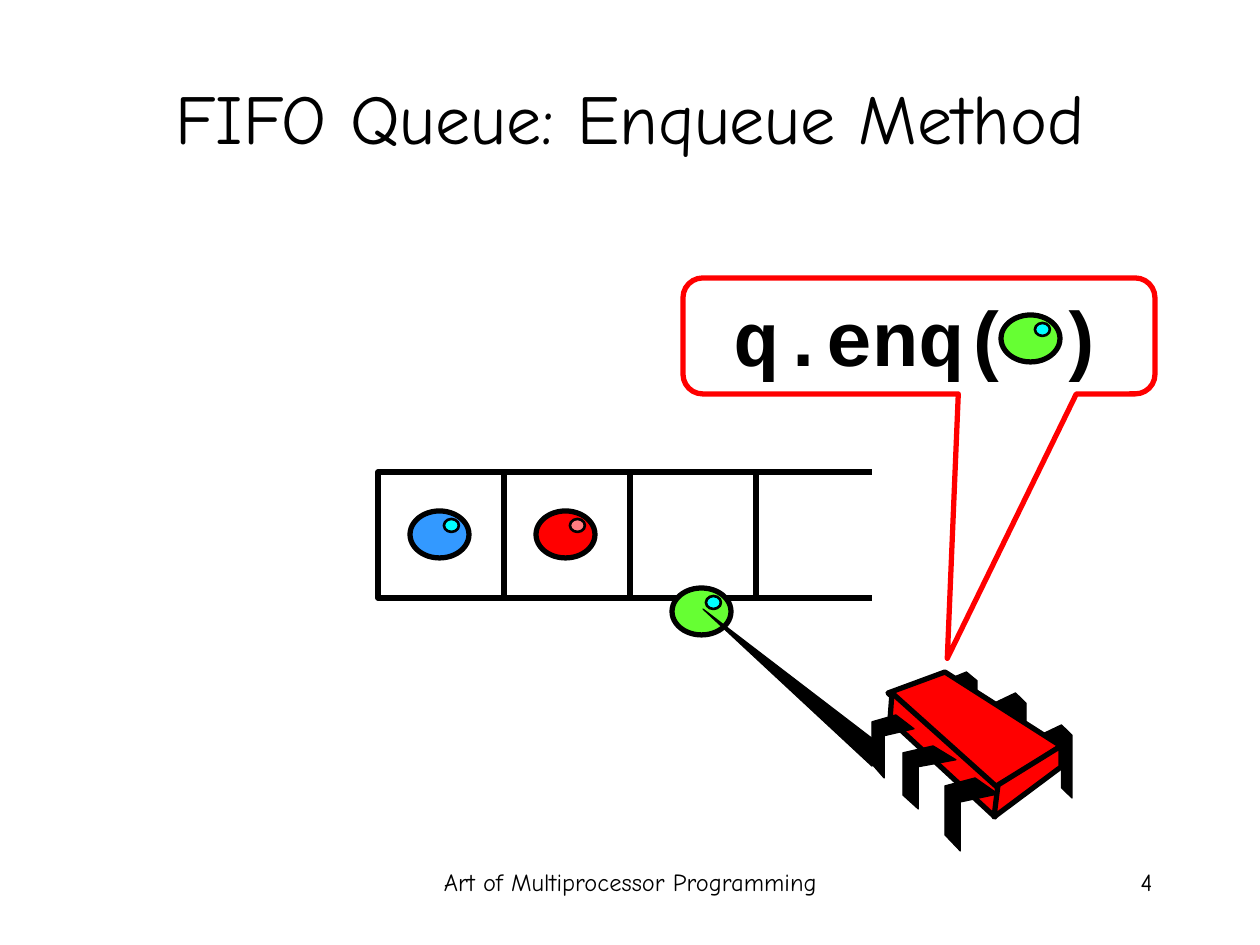
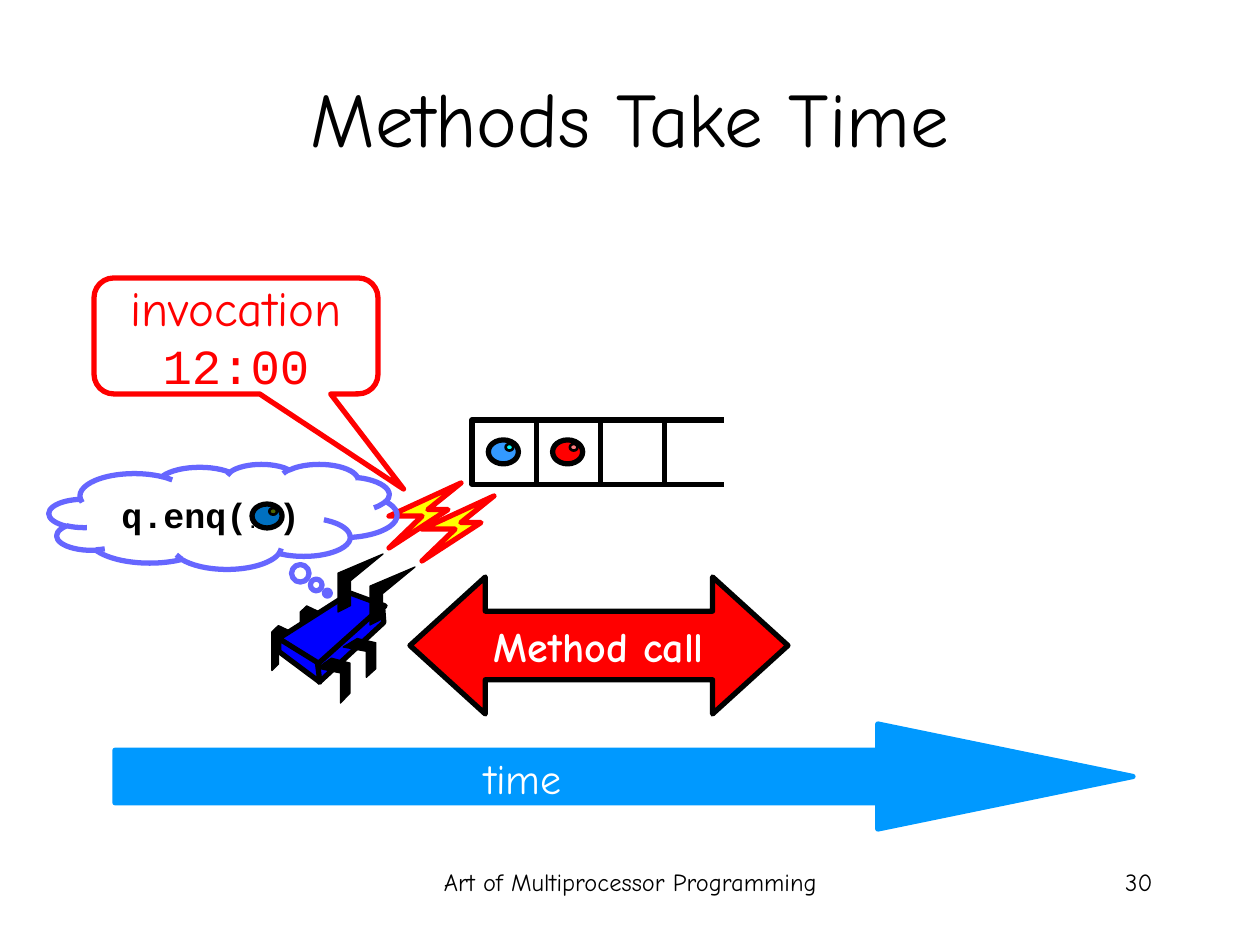
import pptx
import pptx.util
import pptx.dml.color
import pptx.enum.shapes
import pptx.enum.text
import pptx.oxml.ns
import lxml.etree

EMU_PER_PX = 914400 / 126
SHAPES = pptx.enum.shapes.MSO_SHAPE
ALIGN = pptx.enum.text.PP_ALIGN
ANCHOR = pptx.enum.text.MSO_ANCHOR
HAND, CODE = "Comic Neue", "Courier New"
COLOURS = {
    "black": "000000", "white": "FFFFFF", "red": "FF0000", "pink": "FF7C80",
    "blue": "3399FF", "cyan": "00FFFF", "green": "66FF33", "yellow": "FFFF00",
    "robot blue": "0000FF", "deep blue": "0070C0", "olive": "4C6600",
    "time": "0099FF", "thought": "6666FF",
}
FOOTER = "Art of Multiprocessor Programming"

# Bead kinds: body colour, glint colour
BLUE_BEAD = ("blue", "cyan")
RED_BEAD = ("red", "pink")
GREEN_BEAD = ("green", "cyan")
DEEP_BEAD = ("deep blue", "olive")

# Outlines as fractions of their bounding box
FAR_LEG = [(0, .14), (.67, 0), (1, .14), (1, 1), (.67, .86), (.67, .29), (0, .43)]
NEAR_LEG = [(.57, 0), (1, .22), (.29, .33), (.29, 1), (0, .78), (0, .11)]
RAISED_ARM = [(0, 1), (.28, .89), (.28, .46), (1, 0), (0, .33)]
BOLT = [(0, 1), (.46, .51), (0, .51), (1, 0), (.54, .41), (.82, .41)]

# Robot parts in px from the back corner of its top
FAR_LEGS = [(95, 53, 32, 73), (49, 21, 32, 73), (0, 0, 32, 63)]
NEAR_LEGS = [(0, 106, 53, 73), (-42, 74, 53, 63), (-73, 43, 42, 63)]
BODY_FACES = [
    [(0, 0), (116, 74), (50, 117), (-57, 21)],
    [(-53, 21), (53, 116), (50, 145), (-55, 48)],
    [(116, 74), (116, 95), (49, 145), (53, 113)],
]
REACHING_ARM = [(872, 766), (882, 746), (703, 609)]
RAISED_ARMS = [(338, 554, 45, 58), (370, 567, 45, 58)]
BOLTS = [(389, 483, 72, 65), (422, 496, 72, 65)]
SMALL_QUEUE, SMALL_ROBOT = 0.51, 0.615


def emu(px):
    return pptx.util.Emu(round(px * EMU_PER_PX))


def colour(name):
    return pptx.dml.color.RGBColor.from_string(COLOURS[name])


def paint(shape, fill, line, width):
    shape.shadow.inherit = False
    if fill:
        shape.fill.solid()
        shape.fill.fore_color.rgb = colour(fill)
    else:
        shape.fill.background()
    shape.line.color.rgb = colour(line)
    shape.line.width = pptx.util.Pt(width)


def add_preset(shapes, kind, box, fill=None, line="black", width=3, adjust=()):
    shape = shapes.add_shape(kind, *map(emu, box))
    paint(shape, fill, line, width)
    for index, value in enumerate(adjust):
        shape.adjustments[index] = value
    return shape


def add_outline(shapes, points, fill="black", line="black", width=0.75):
    start, *rest = [(emu(x), emu(y)) for x, y in points]
    builder = shapes.build_freeform(*start, scale=1.0)
    builder.add_line_segments(rest, close=True)
    paint(builder.convert_to_shape(), fill, line, width)


def fit(outline, box):
    """Stretch a fractional outline over a box."""
    left, top, width, height = box
    return [(left + x * width, top + y * height) for x, y in outline]


def write(shape, spans, font=HAND, size=14, ink="black", bold=False,
          align=ALIGN.CENTER, anchor=ANCHOR.MIDDLE, wrap=True):
    """Fill a shape with one paragraph; a span is (text, settings that differ)."""
    frame = shape.text_frame
    frame.word_wrap = wrap
    frame.vertical_anchor = anchor
    para = frame.paragraphs[0]
    para.alignment = align
    para.font.name, para.font.size = font, pptx.util.Pt(size)
    para.font.bold, para.font.color.rgb = bold, colour(ink)
    for text, changes in spans:
        span = para.add_run()
        span.text = text
        if "font" in changes:
            span.font.name = changes["font"]
        if "size" in changes:
            span.font.size = pptx.util.Pt(changes["size"])


def add_text(page, text, box, **style):
    write(page.shapes.add_textbox(*map(emu, box)), [(text, {})], **style)


def add_bead(page, left, top, kind, scale=1.0):
    body, glint = kind
    group = page.shapes.add_group_shape().shapes
    add_preset(group, SHAPES.OVAL, (left, top, 59 * scale, 47 * scale), body)
    add_preset(group, SHAPES.OVAL,
               (left + 34 * scale, top + 8 * scale, 15 * scale, 13 * scale),
               glint, width=1.5)


def add_rail(page, left, right, y):
    rail = page.shapes.add_connector(
        pptx.enum.shapes.MSO_CONNECTOR.STRAIGHT, emu(left), emu(y), emu(right), emu(y))
    rail.line.color.rgb = colour("black")
    rail.line.width = pptx.util.Pt(3)
    lxml.etree.SubElement(rail._element.spPr, pptx.oxml.ns.qn("a:effectLst"))


def add_queue(page, left, top, beads, scale=1.0):
    """Three closed cells and an open one; beads fill cells from the left."""
    cell = 126 * scale
    for index, kind in enumerate(beads):
        add_bead(page, left + index * cell + 32 * scale, top + 39 * scale, kind, scale)
    for index in range(3):
        add_preset(page.shapes, SHAPES.RECTANGLE, (left + index * cell, top, cell, cell))
    for y in (top, top + cell):
        add_rail(page, left + 2.92 * cell, left + 3.92 * cell, y)


def add_robot(page, left, top, paint_name, leg_pairs=3, scale=1.0, mirrored=False):
    group = page.shapes.add_group_shape().shapes
    across = -scale if mirrored else scale

    def place(points):
        return [(left + x * across, top + y * scale) for x, y in points]

    for box in FAR_LEGS[:leg_pairs]:
        add_outline(group, place(fit(FAR_LEG, box)))
    for face in BODY_FACES:
        add_outline(group, place(face), paint_name, width=3)
    for box in NEAR_LEGS[:leg_pairs]:
        add_outline(group, place(fit(NEAR_LEG, box)))


def add_page(deck, title, title_size, number):
    page = deck.slides.add_slide(deck.slide_layouts[6])
    add_text(page, FOOTER, (431, 861, 399, 63), anchor=ANCHOR.TOP)
    add_text(page, number, (903, 861, 262, 63), align=ALIGN.RIGHT, anchor=ANCHOR.TOP)
    add_text(page, title, (63, 38, 1134, 158), size=title_size)
    return page


def build_enqueue(deck):
    page = add_page(deck, "FIFO Queue: Enqueue Method", 40, "4")
    add_queue(page, 378, 472, [BLUE_BEAD, RED_BEAD])
    add_bead(page, 672, 588, GREEN_BEAD)
    add_robot(page, 945, 672, "red")
    add_outline(page.shapes, REACHING_ARM)
    speech = add_preset(page.shapes, SHAPES.ROUNDED_RECTANGULAR_CALLOUT,
                        (683, 278, 472, 116), line="red", adjust=(0.06, 2.78, 0.17))
    write(speech, [("q.enq( )", {})], font=CODE, size=44, bold=True)
    add_bead(page, 1001, 315, GREEN_BEAD)


def build_time(deck):
    page = add_page(deck, "Methods Take Time", 44, "30")
    add_queue(page, 472, 420, [BLUE_BEAD, RED_BEAD], SMALL_QUEUE)
    call = add_preset(page.shapes, SHAPES.LEFT_RIGHT_ARROW, (410, 577, 378, 137),
                      "red", adjust=(0.5, 0.55))
    write(call, [("Method call", {})], size=24, ink="white", bold=True, wrap=False)
    speech = add_preset(page.shapes, SHAPES.ROUNDED_RECTANGULAR_CALLOUT,
                        (94, 278, 284, 116), line="red", adjust=(0.59, 1.32, 0.17))
    write(speech, [("invocation ", {}), ("12:00", {"font": CODE})], size=28, ink="red")

    add_robot(page, 350, 593, "robot blue", 2, SMALL_ROBOT, mirrored=True)
    for arm, bolt in zip(RAISED_ARMS, BOLTS):
        add_outline(page.shapes, fit(BOLT, bolt), "yellow", "red", 3)
        add_outline(page.shapes, fit(RAISED_ARM, arm))

    add_preset(page.shapes, SHAPES.RIGHT_ARROW, (115, 724, 1018, 105),
               "time", "time", adjust=(0.5, 2.43))
    add_text(page, "time", (462, 746, 112, 63), size=24, ink="white",
             align=ALIGN.RIGHT, anchor=ANCHOR.TOP, wrap=False)
    thought = add_preset(page.shapes, SHAPES.CLOUD_CALLOUT, (49, 464, 348, 105),
                         line="thought", adjust=(0.3, 0.73))
    write(thought, [("q.enq(", {}), ("...", {"size": 10}), (")", {})],
          font=CODE, size=20, bold=True)
    add_bead(page, 252, 504, DEEP_BEAD, SMALL_QUEUE)


def main():
    deck = pptx.Presentation()
    deck.slide_width, deck.slide_height = emu(1260), emu(945)
    build_enqueue(deck)
    build_time(deck)
    deck.save("out.pptx")


if __name__ == "__main__":
    main()
